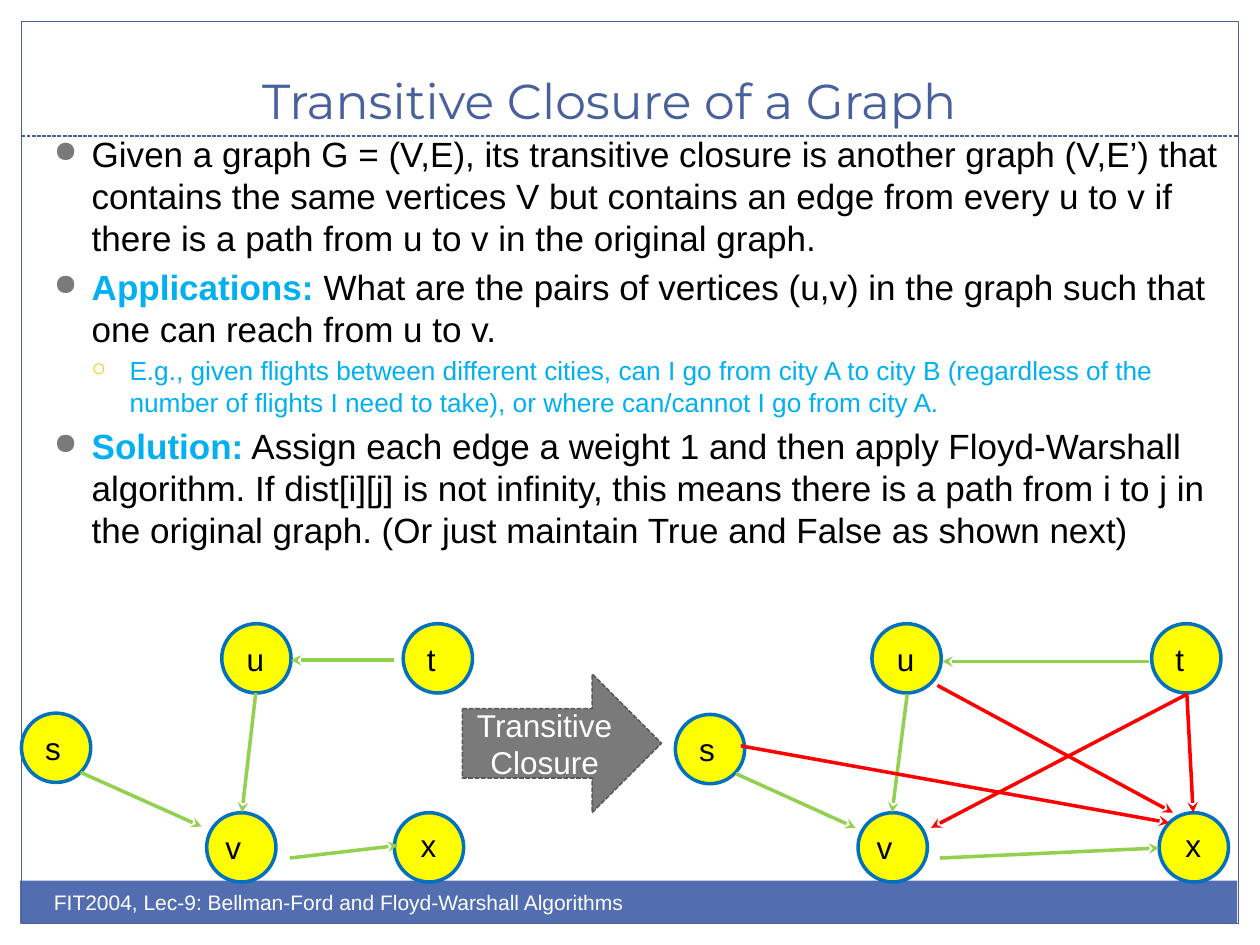
from dataclasses import dataclass
from typing import NamedTuple

from lxml.etree import SubElement
from pptx import Presentation
from pptx.dml.color import RGBColor
from pptx.enum.dml import MSO_LINE
from pptx.enum.shapes import MSO_CONNECTOR, MSO_SHAPE
from pptx.enum.text import MSO_ANCHOR, MSO_AUTO_SIZE, PP_ALIGN
from pptx.oxml.ns import qn
from pptx.util import Inches, Pt

COLORS = {
    "frame": "48609B", "footer": "526DB0", "white": "FFFFFF", "black": "000000",
    "accent": "00B0F0", "gray": "7A7A7A", "dark gray": "5A5A5A", "gold": "F5C201",
    "vertex": "FFFF00", "outline": "0070C0", "edge": "92D050", "closure": "FF0000",
}
COLUMNS, ROWS = 100, 75
VERTEX_SIZE = 5.5
LABEL_HEIGHT = 4

presentation = Presentation()
presentation.slide_width, presentation.slide_height = Inches(10), Inches(7.5)
slide = presentation.slides.add_slide(presentation.slide_layouts[6])


class Box(NamedTuple):
    column: float
    row: float
    columns: float
    rows: float


class Run(NamedTuple):
    text: str
    color: str = "black"
    bold: bool = False


class Label(NamedTuple):
    column: float
    row: float
    columns: float


class Edge(NamedTuple):
    start: tuple[float, float]
    end: tuple[float, float]
    color: str = "edge"


@dataclass
class Level:
    indent: float
    size: float
    bullet: str
    bullet_color: str
    bullet_percent: int


@dataclass
class Item:
    level: Level
    runs: list[Run]


@dataclass
class Graph:
    vertices: dict[str, tuple[float, float]]
    edges: list[Edge]


LABELS = {
    "u": Label(1, 0.8, 3.4), "t": Label(0.9, 0.8, 2.7), "s": Label(0.9, 0.75, 3.3),
    "v": Label(0.5, 0.75, 3.3), "x": Label(1.1, 0.55, 3.3),
}
MAIN = Level(0.3, 20, "●", "gray", 85)
DETAIL = Level(0.6, 15, "○", "gold", 70)
ITEMS = [
    Item(MAIN, [Run("Given a graph G = (V,E), its transitive closure is another graph (V,E’) that "
                    "contains the same vertices V but contains an edge from every u to v if "
                    "there is a path from u to v in the original graph.")]),
    Item(MAIN, [Run("Applications:", "accent", True),
                Run(" What are the pairs of vertices (u,v) in the graph such that "
                    "one can reach from u to v.")]),
    Item(DETAIL, [Run("E.g., given flights between different cities, can I go from city A to "
                      "city B (regardless of the number of flights I need to take), or where "
                      "can/cannot I go from city A.", "accent")]),
    Item(MAIN, [Run("Solution:", "accent", True),
                Run(" Assign each edge a weight 1 and then apply Floyd-Warshall algorithm. "
                    "If dist[i][j] is not infinity, this means there is a path from i to j in "
                    "the original graph. (Or just maintain True and False as shown next)")]),
]
GRAPHS = [
    Graph({"u": (17.6, 49.5), "t": (32, 49.5), "s": (1.7, 56.6), "v": (16.4, 64.5),
           "x": (31.3, 64.5)},
          [Edge((31.3, 52.4), (23.1, 52.4)), Edge((6.4, 61.3), (16, 65.6)),
           Edge((20.3, 55), (19.2, 64.5)), Edge((23, 68.1), (31.6, 67.1))]),
    Graph({"u": (69.2, 49.5), "t": (91.4, 49.5), "s": (53.6, 56.7), "v": (68.1, 64.5),
           "x": (92, 64.5)},
          [Edge((91.2, 52.5), (74.8, 52.5)), Edge((58.4, 61.4), (67.9, 65.7)),
           Edge((72, 55.1), (70.8, 64.5)), Edge((74.6, 68.1), (92, 67.3)),
           Edge((94.2, 55.1), (73.9, 65.7), "closure"),
           Edge((58.8, 59.2), (92.8, 65.3), "closure"),
           Edge((94.2, 55.1), (94.7, 64.5), "closure"),
           Edge((74.4, 54.4), (93.1, 64.5), "closure")]),
]


def rgb(name: str) -> RGBColor:
    return RGBColor.from_string(COLORS[name])


def across(columns: float) -> int:
    return round(presentation.slide_width * columns / COLUMNS)


def down(rows: float) -> int:
    return round(presentation.slide_height * rows / ROWS)


def place(box: Box) -> tuple[int, int, int, int]:
    return across(box.column), down(box.row), across(box.columns), down(box.rows)


def style_line(line, color: str, width: float, dashed: bool = False) -> None:
    line.color.rgb = rgb(color)
    line.width = Pt(width)
    if dashed:
        line.dash_style = MSO_LINE.SQUARE_DOT


def add_run(paragraph, run: Run, size: float, font: str = "Arial") -> None:
    text_run = paragraph.add_run()
    text_run.text = run.text
    text_run.font.name = font
    text_run.font.size = Pt(size)
    text_run.font.bold = run.bold
    text_run.font.color.rgb = rgb(run.color)


def add_text_box(box: Box, wrap: bool = True):
    text_frame = slide.shapes.add_textbox(*place(box)).text_frame
    text_frame.word_wrap = wrap
    return text_frame


def add_shape(kind: MSO_SHAPE, box: Box, fill: str | None = None, line: str | None = None,
              width: float = 0.75, dashed: bool = False):
    shape = slide.shapes.add_shape(kind, *place(box))
    shape.shadow.inherit = False
    if fill:
        shape.fill.solid()
        shape.fill.fore_color.rgb = rgb(fill)
    else:
        shape.fill.background()
    if line:
        style_line(shape.line, line, width, dashed)
    else:
        shape.line.fill.background()
    return shape


def add_line(edge: Edge, width: float, dashed: bool = False, arrow: bool = False) -> None:
    connector = slide.shapes.add_connector(
        MSO_CONNECTOR.STRAIGHT, across(edge.start[0]), down(edge.start[1]),
        across(edge.end[0]), down(edge.end[1]))
    style_line(connector.line, edge.color, width, dashed)
    if arrow:
        SubElement(connector.line._get_or_add_ln(), qn("a:tailEnd"), type="stealth")
    SubElement(connector._element.spPr, qn("a:effectLst"))


def add_item(paragraph, item: Item) -> None:
    level = item.level
    paragraph.space_before = Pt(level.size * 0.2)
    properties = paragraph._p.get_or_add_pPr()
    properties.set("marL", str(Inches(level.indent)))
    properties.set("indent", str(Inches(-0.3)))
    bullet_color = SubElement(properties, qn("a:buClr"))
    SubElement(bullet_color, qn("a:srgbClr"), val=COLORS[level.bullet_color])
    SubElement(properties, qn("a:buSzPct"), val=str(level.bullet_percent * 1000))
    SubElement(properties, qn("a:buChar"), char=level.bullet)
    for run in item.runs:
        add_run(paragraph, run, level.size)


def add_graph(graph: Graph) -> None:
    for name, (column, row) in graph.vertices.items():
        add_shape(MSO_SHAPE.OVAL, Box(column, row, VERTEX_SIZE, VERTEX_SIZE),
                  "vertex", "outline", 2)
        label = LABELS[name]
        text_frame = add_text_box(
            Box(column + label.column, row + label.row, label.columns, LABEL_HEIGHT), False)
        text_frame.auto_size = MSO_AUTO_SIZE.SHAPE_TO_FIT_TEXT
        add_run(text_frame.paragraphs[0], Run(name), 18)
    for edge in graph.edges:
        add_line(edge, 2, arrow=True)


add_shape(MSO_SHAPE.RECTANGLE, Box(1.6, 69.9, 96.6, 3.4), "footer")
add_shape(MSO_SHAPE.RECTANGLE, Box(1.7, 1.7, 96.6, 71.6), line="frame")
add_line(Edge((1.7, 10.8), (98.3, 10.8), "frame"), 0.75, dashed=True)

title = add_text_box(Box(0, 2.5, 96.7, 8.3))
title.vertical_anchor = MSO_ANCHOR.BOTTOM
title.paragraphs[0].alignment = PP_ALIGN.CENTER
add_run(title.paragraphs[0], Run("Transitive Closure of a Graph", "frame"), 28, "Montserrat")

footer = add_text_box(Box(3.3, 70.1, 50, 4))
add_run(footer.paragraphs[0],
        Run("FIT2004, Lec-9: Bellman-Ford and Floyd-Warshall Algorithms", "white"), 12)

body = add_text_box(Box(3.3, 10, 95, 55))
for index, item in enumerate(ITEMS):
    add_item(body.add_paragraph() if index else body.paragraphs[0], item)

for graph in GRAPHS:
    add_graph(graph)

arrow = add_shape(MSO_SHAPE.RIGHT_ARROW, Box(36.7, 53.5, 15.8, 11), "gray", "dark gray", 0.9, True)
arrow.text_frame.word_wrap = True
arrow.text_frame.vertical_anchor = MSO_ANCHOR.MIDDLE
arrow.text_frame.paragraphs[0].alignment = PP_ALIGN.CENTER
add_run(arrow.text_frame.paragraphs[0], Run("Transitive Closure", "white"), 18)

presentation.save("out.pptx")
